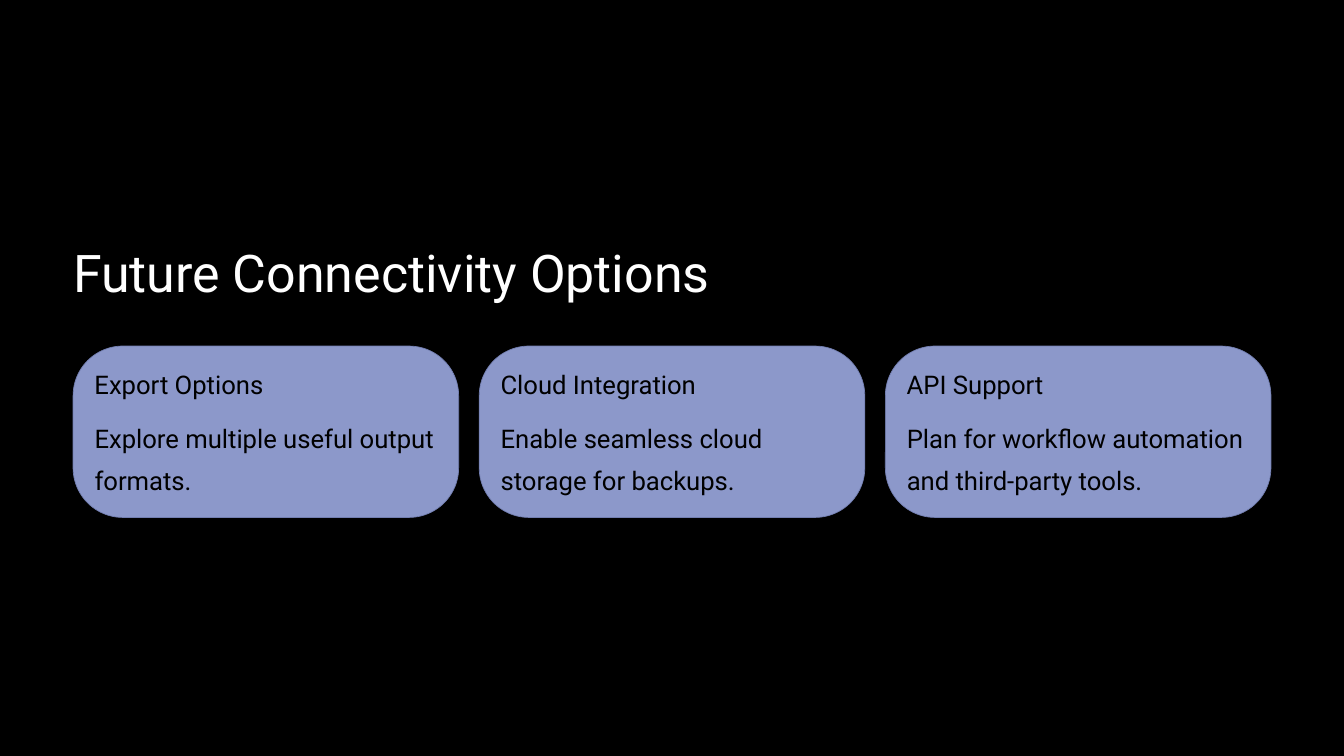
from pptx import Presentation
from pptx import util as u
from pptx.dml.color import RGBColor
from pptx.enum import shapes, text

FONT = "Roboto"
CARDS = [
    ("Export Options", "Explore multiple useful output formats."),
    ("Cloud Integration", "Enable seamless cloud storage for backups."),
    ("API Support", "Plan for workflow automation and third-party tools."),
]
MARGIN, CARD_TOP, CARD_WIDTH, CARD_HEIGHT = 0.87, 4.12, 4.59, 2.04
CARD_PITCH = 4.835


def color(value):
    """Turn a hex string into a colour."""
    return RGBColor.from_string(value)


def add_text(page, words, box, size, line, ink, wrap=False):
    """Place one line-spaced paragraph in a box without insets."""
    frame = page.shapes.add_textbox(*map(u.Inches, box)).text_frame
    frame_format = {
        "margin_left": 0, "margin_top": 0, "margin_right": 0, "margin_bottom": 0,
        "word_wrap": wrap, "vertical_anchor": text.MSO_ANCHOR.TOP,
    }
    for name, value in frame_format.items():
        setattr(frame, name, value)
    para = frame.paragraphs[0]
    para.alignment = text.PP_ALIGN.LEFT
    para.line_spacing = u.Pt(line)
    span = para.add_run()
    span.text = words
    for name, value in {"name": FONT, "size": u.Pt(size)}.items():
        setattr(span.font, name, value)
    span.font.color.rgb = color(ink)


def add_card(page, heading, body, box):
    """Draw a rounded card with its heading and body."""
    left, top, width, height = box
    card = page.shapes.add_shape(
        shapes.MSO_SHAPE.ROUNDED_RECTANGLE, *map(u.Inches, box))
    card.adjustments[0] = 0.29
    card.shadow.inherit = False
    card.fill.solid()
    card.fill.fore_color.rgb = color("8C98CA")
    card.line.color.rgb = color("727EB0")
    card.line.width = u.Pt(0.6)
    inset = 0.255
    add_text(page, heading, (left + inset, top + 0.25, 3.1, 0.39), 22, 27.5, "000000")
    add_text(page, body, (left + inset, top + 0.79, width - 2 * inset, height - 1.05),
             22, 35.5, "000000", wrap=True)


def add_options_slide(deck):
    """Build the title and the row of option cards."""
    page = deck.slides.add_slide(deck.slide_layouts[6])
    page.background.fill.solid()
    page.background.fill.fore_color.rgb = color("000000")
    add_text(page, "Future Connectivity Options", (MARGIN, 2.84, 7.68, 0.78),
             44.5, 55.5, "FFFFFF")
    for index, (heading, body) in enumerate(CARDS):
        left = MARGIN + index * CARD_PITCH
        add_card(page, heading, body, (left, CARD_TOP, CARD_WIDTH, CARD_HEIGHT))


def main():
    """Create and save the deck."""
    deck = Presentation()
    deck.slide_width, deck.slide_height = u.Inches(16), u.Inches(9)
    add_options_slide(deck)
    deck.save("out.pptx")


if __name__ == "__main__":
    main()
